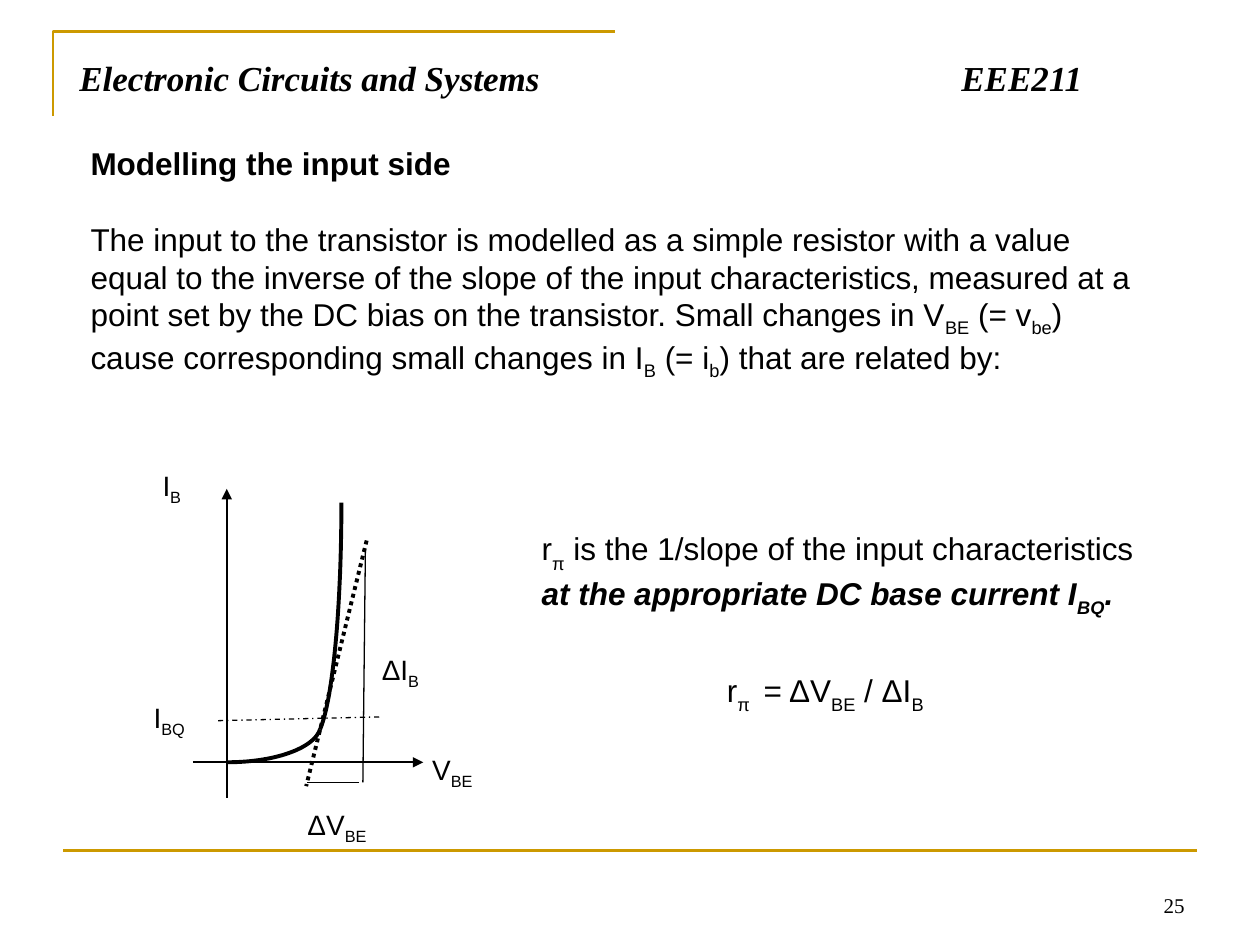
from lxml.etree import SubElement
from pptx import Presentation
from pptx.dml.color import RGBColor
from pptx.enum.dml import MSO_LINE
from pptx.enum.shapes import MSO_CONNECTOR
from pptx.enum.text import MSO_ANCHOR, MSO_AUTO_SIZE, PP_ALIGN
from pptx.oxml.ns import qn
from pptx.util import Inches, Pt

BLACK = RGBColor(0x00, 0x00, 0x00)
GOLD = RGBColor(0xCC, 0x99, 0x00)
SANS = "Arial"
SERIF = "Times New Roman"


class CircuitSlide:
    """Holds the style and the slide being drawn."""

    def __init__(self, slide):
        self.slide = slide
        self.shapes = slide.shapes

    def start_group(self):
        self.shapes = self.slide.shapes.add_group_shape().shapes

    def end_group(self):
        self.shapes = self.slide.shapes

    def add_text(self, paragraph, text, size, font=SANS, bold=False, italic=False, baseline=0):
        run = paragraph.add_run()
        run.text = text
        run.font.name = font
        run.font.size = Pt(size)
        run.font.bold = bold
        run.font.italic = italic
        run.font.color.rgb = BLACK
        if baseline:
            run._r.get_or_add_rPr().set("baseline", str(baseline * 1000))

    def add_symbols(self, paragraph, parts, size, drop=-25, **style):
        for index, part in enumerate(parts):
            self.add_text(paragraph, part, size, baseline=drop if index % 2 else 0, **style)

    def title(self, course, code):
        heading = self.slide.shapes.title
        heading.left, heading.top = Inches(0.53), Inches(0.4)
        heading.width, heading.height = Inches(8.92), Inches(0.61)
        frame = heading.text_frame
        frame.auto_size = MSO_AUTO_SIZE.NONE
        frame.vertical_anchor = MSO_ANCHOR.TOP
        paragraph = frame.paragraphs[0]
        paragraph.alignment = PP_ALIGN.LEFT
        stops = SubElement(paragraph._p.get_or_add_pPr(), qn("a:tabLst"))
        SubElement(stops, qn("a:tab"), pos=str(Inches(7)), algn="l")
        self.add_text(paragraph, f"{course}\t{code}", 20, SERIF, bold=True, italic=True)

    def text_box(self, left, top, width, height, anchor=MSO_ANCHOR.TOP):
        box = self.shapes.add_textbox(Inches(left), Inches(top), Inches(width), Inches(height))
        frame = box.text_frame
        frame.word_wrap = True
        frame.vertical_anchor = anchor
        return frame

    def label(self, left, top, width, height, symbol, subscript):
        frame = self.text_box(left, top, width, height)
        frame.margin_left = frame.margin_right = Inches(0.07)
        frame.margin_top = frame.margin_bottom = Inches(0.04)
        self.add_symbols(frame.paragraphs[0], [symbol, subscript], 16)

    def line(self, start, end, width, color=BLACK, dash=None, arrow=False):
        x1, y1, x2, y2 = (Inches(value) for value in (*start, *end))
        connector = self.shapes.add_connector(MSO_CONNECTOR.STRAIGHT, x1, y1, x2, y2)
        connector.line.color.rgb = color
        connector.line.width = Pt(width)
        if dash:
            connector.line.dash_style = dash
        if arrow:
            SubElement(connector.line._get_or_add_ln(), qn("a:tailEnd"), type="triangle")
        SubElement(connector._element.spPr, qn("a:effectLst"))

    def outline(self, points, width, color=BLACK):
        corners = [(Inches(x), Inches(y)) for x, y in points]
        builder = self.shapes.build_freeform(*corners[0])
        builder.add_line_segments(corners[1:], close=False)
        shape = builder.convert_to_shape()
        shape.shadow.inherit = False
        shape.fill.background()
        shape.line.color.rgb = color
        shape.line.width = Pt(width)

    def curve(self, start, control1, control2, end, width, steps=30):
        points = []
        for step in range(steps + 1):
            t = step / steps
            weights = ((1 - t) ** 3, 3 * t * (1 - t) ** 2, 3 * t * t * (1 - t), t ** 3)
            points.append([
                sum(weight * value for weight, value in zip(weights, axis))
                for axis in zip(start, control1, control2, end)
            ])
        self.outline(points, width)


def main():
    deck = Presentation()
    deck.slide_width, deck.slide_height = Inches(10), Inches(7.5)
    page = CircuitSlide(deck.slides.add_slide(deck.slide_layouts[5]))

    page.outline([(0.42, 0.92), (0.42, 0.25), (4.88, 0.25)], 1.5, GOLD)
    page.line((0.5, 6.75), (9.5, 6.75), 1.5, GOLD)
    page.title("Electronic Circuits and Systems", "EEE211")

    number = page.text_box(7.17, 6.83, 2.33, 0.5, MSO_ANCHOR.BOTTOM).paragraphs[0]
    number.alignment = PP_ALIGN.RIGHT
    page.add_text(number, "25", 12, SERIF)

    modelling = page.text_box(0.62, 1.09, 8.58, 2.22)
    page.add_text(modelling.paragraphs[0], "Modelling the input side", 18, bold=True)
    explanation = modelling.add_paragraph()
    explanation.space_before = Pt(22)
    page.add_symbols(explanation, [
        "The input to the transistor is modelled as a simple resistor with a value equal to "
        "the inverse of the slope of the input characteristics, measured at a point set by "
        "the DC bias on the transistor. Small changes in V",
        "BE", " (= v", "be", ") cause corresponding small changes in I",
        "B", " (= i", "b", ") that are related by:",
    ], 18)

    page.start_group()
    for left, top, width, height, symbol, subscript in (
        (2.37, 6.37, 0.95, 0.67, "ΔV", "BE"),
        (1.22, 3.68, 0.5, 0.39, "I", "B"),
        (3.36, 5.93, 0.69, 0.39, "V", "BE"),
        (2.96, 5.14, 0.88, 0.52, "ΔI", "B"),
        (1.15, 5.52, 0.69, 0.39, "I", "BQ"),
    ):
        page.label(left, top, width, height, symbol, subscript)
    page.line((1.53, 6.05), (3.36, 6.05), 1, arrow=True)
    page.line((1.8, 6.33), (1.8, 3.88), 1, arrow=True)
    page.curve((1.81, 6.05), (2.18, 6.05), (2.49, 5.94), (2.54, 5.79), 2.25)
    page.curve((2.54, 5.79), (2.64, 5.56), (2.71, 4.83), (2.71, 3.99), 2.25)
    page.line((2.91, 4.29), (2.43, 6.24), 2.25, dash=MSO_LINE.ROUND_DOT)
    page.line((2.9, 4.36), (2.88, 6.21), 0.75)
    page.line((2.85, 6.21), (2.44, 6.21), 0.75)
    page.line((3.01, 5.69), (1.73, 5.72), 0.75, dash=MSO_LINE.DASH_DOT)
    page.end_group()

    formula = page.text_box(5.17, 5.3, 2.91, 0.4, MSO_ANCHOR.MIDDLE).paragraphs[0]
    formula._p.get_or_add_pPr().set("indent", str(Inches(0.5)))
    page.add_symbols(formula, ["r", "π ", " = ΔV", "BE", " / ΔI", "B"], 18, drop=-30)

    slope = page.text_box(4.2, 4.2, 5.12, 0.71, MSO_ANCHOR.MIDDLE).paragraphs[0]
    page.add_symbols(slope, ["r", "π", " is the 1/slope of the input characteristics "], 18, drop=-30)
    page.add_symbols(slope, ["at the appropriate DC base current I", "BQ", "."], 18, drop=-30,
                     bold=True, italic=True)

    deck.save("out.pptx")


if __name__ == "__main__":
    main()
